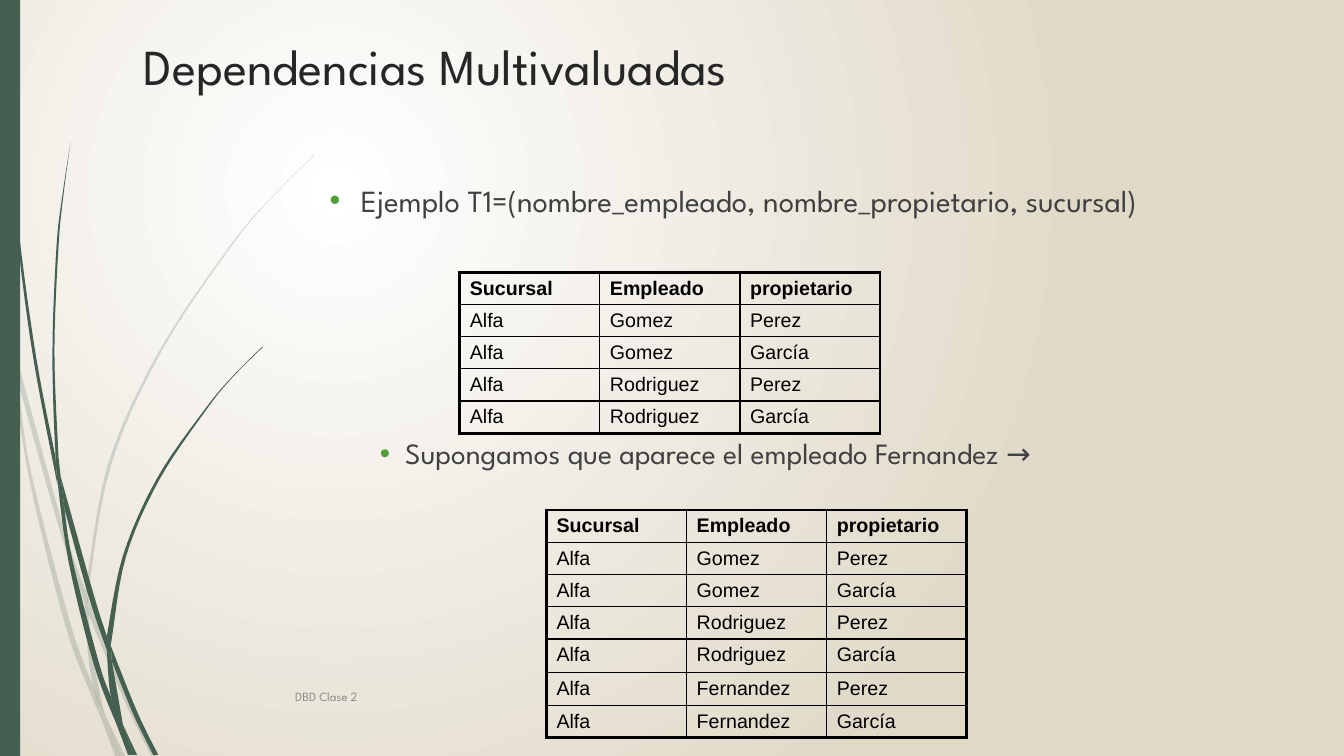
import pptx
import pptx.util
import pptx.oxml
import pptx.oxml.ns
import pptx.dml.color
import pptx.enum.shapes
import pptx.enum.text

Inches, Pt = pptx.util.Inches, pptx.util.Pt
qn = pptx.oxml.ns.qn
NS = pptx.oxml.ns.nsdecls("a")

COLORS = {
    "white": "FFFFFF", "sand": "E0D9C8", "green": "455F51", "bullet": "549E39",
    "title": "262626", "body": "404040", "footer": "8C8C8C", "black": "000000",
}
FONT = "League Spartan"

# Pieces of the grass blades: one edge there, the other edge back
FAINT_PIECES = [
    ([(0, 2.82), (0.09, 3.22), (0.11, 3.5)], [(0.1, 3.44), (0, 2.99)]),
    ([(0.14, 3.45), (0.62, 5.2), (0.85, 5.86)], [(0.84, 5.99), (0.58, 5.22), (0.17, 3.76)]),
    ([(0.88, 5.96), (1.27, 6.92), (1.55, 7.5)], [(1.5, 7.5), (1.23, 6.94), (0.88, 6.1)]),
    ([(1.05, 7.11), (1.24, 7.5)], [(1.19, 7.5)]),
    ([(0.11, 3.5), (0.17, 3.76), (0.31, 4.69), (0.7, 6.19), (0.93, 6.83), (0.99, 7.07)],
     [(1.01, 7.14), (0.92, 6.93), (0.65, 6.21), (0.28, 4.7), (0.11, 3.5)]),
    ([(0.84, 5.99), (0.87, 6.46), (0.93, 6.83), (1.05, 7.11)],
     [(1.03, 7.06), (0.91, 6.46), (0.88, 6.08)]),
    ([(3.12, 1.53), (2.68, 1.97), (2.28, 2.44), (1.58, 3.48), (1.07, 4.61), (0.85, 5.86)],
     [(0.88, 5.96), (0.88, 5.84), (1.1, 4.62), (1.6, 3.49), (2.29, 2.45), (2.68, 1.98),
      (3.12, 1.54)]),
    ([(1.01, 7.14), (1.14, 7.5)], [(1.19, 7.5)]),
    ([(0.84, 5.99), (0.85, 5.86)], [(0.88, 5.96), (0.88, 6.1)]),
    ([(0.93, 6.83), (1.05, 7.11), (1.19, 7.5)], [(1.01, 7.14)]),
]
DARK_PIECES = [
    ([(0.03, 0), (0.07, 1.1), (0.17, 2.33), (0.33, 3.55), (0.57, 4.81)],
     [(0.55, 4.53), (0.36, 3.55), (0.19, 2.32), (0.08, 1.09), (0.04, 0)]),
    ([(0.6, 4.72), (0.93, 5.9), (1.06, 6.31)], [(1.06, 6.45), (0.88, 5.92), (0.64, 5.05)]),
    ([(1.1, 6.41), (1.36, 7.06), (1.57, 7.49)], [(1.52, 7.49), (1.32, 7.08), (1.11, 6.56)]),
    ([(0.57, 4.77), (0.68, 5.57), (0.93, 6.59), (1.17, 7.22)],
     [(1.1, 6.91), (0.98, 6.57), (0.72, 5.56), (0.64, 5.05)]),
    ([(0.7, 1.41), (0.62, 1.93), (0.56, 2.45), (0.52, 3.49), (0.55, 4.49), (0.6, 4.72)],
     [(0.58, 4.53), (0.54, 3.49), (0.58, 2.45), (0.63, 1.93), (0.7, 1.41)]),
    ([(1.22, 7.19), (1.36, 7.49)], [(1.33, 7.49)]),
    ([(0.55, 4.49), (0.57, 4.77), (0.64, 5.05)], [(0.6, 4.72)]),
    ([(2.6, 3.44), (2.31, 3.73), (2.04, 4.05), (1.56, 4.74), (1.22, 5.51), (1.06, 6.31)],
     [(1.1, 6.41), (1.11, 6.33), (1.25, 5.52), (1.58, 4.76), (2.05, 4.06), (2.31, 3.74),
      (2.61, 3.44)]),
    ([(1.17, 7.22), (1.27, 7.49)], [(1.31, 7.49)]),
    ([(1.06, 6.45), (1.1, 6.91), (1.22, 7.19)], [(1.11, 6.56)]),
    ([(1.06, 6.31), (1.06, 6.45)], [(1.11, 6.56), (1.1, 6.41)]),
    ([(1.1, 6.91), (1.17, 7.22), (1.3, 7.49)], [(1.33, 7.49), (1.22, 7.19)]),
]

HEADER = ("Sucursal", "Empleado", "propietario")
OWNERS = ("Perez", "García")


def rgb(name):
    return pptx.dml.color.RGBColor.from_string(COLORS[name])


def set_background(s):
    fill = s.background.fill
    fill.gradient()
    for stop, name in zip(fill.gradient_stops, ("white", "sand")):
        stop.color.rgb = rgb(name)
    lin = next(s.element.iter(qn("a:lin")))
    lin.getparent().replace(lin, pptx.oxml.parse_xml(
        f'<a:path {NS} path="circle">'
        '<a:fillToRect l="50000" t="50000" r="100000" b="100000"/></a:path>'))


def smooth_edge(points, steps=6):
    """Points in EMU of a Catmull-Rom curve through the given points."""
    padded = [points[0], *points, points[-1]]
    curve = [points[0]]
    for a, b, c, d in zip(padded, padded[1:], padded[2:], padded[3:]):
        for i in range(1, steps + 1):
            t = i / steps
            curve.append(tuple(
                0.5 * (2 * q + (r - p) * t + (2 * p - 5 * q + 4 * r - u) * t ** 2
                       + (3 * q - p - 3 * r + u) * t ** 3)
                for p, q, r, u in zip(a, b, c, d)))
    return [(Inches(x), Inches(y)) for x, y in curve]


def paint_green(sp):
    sp.shadow.inherit = False
    sp.fill.solid()
    sp.fill.fore_color.rgb = rgb("green")
    sp.line.fill.background()


def add_grass(s, pieces, opacity):
    for there, back in pieces:
        start, *rest = smooth_edge(there) + smooth_edge(back)
        builder = s.shapes.build_freeform(*start)
        builder.add_line_segments(rest, close=True)
        sp = builder.convert_to_shape()
        paint_green(sp)
        color = next(sp.element.spPr.iter(qn("a:srgbClr")))
        color.append(pptx.oxml.parse_xml(f'<a:alpha {NS} val="{opacity * 1000}"/>'))


def add_text_frame(s, left, top, width, height):
    sp = s.shapes.add_textbox(Inches(left), Inches(top), Inches(width), Inches(height))
    sp.text_frame.word_wrap = True
    return sp.text_frame


def write(p, text, size, color, font=FONT, bold=False):
    p.text = text
    p.font.size, p.font.name, p.font.bold = Pt(size), font, bold
    p.font.color.rgb = rgb(color)


def add_bullet(p, margin, indent, space_before):
    p.space_before = Pt(space_before)
    pPr = p._p.get_or_add_pPr()
    pPr.set("marL", str(Inches(margin)))
    pPr.set("indent", str(Inches(indent)))
    marks = [f'<a:buClr {NS}><a:srgbClr val="{COLORS["bullet"]}"/></a:buClr>',
             f'<a:buFont {NS} typeface="Arial"/>', f'<a:buChar {NS} char="•"/>']
    at = pPr.index(pPr.find(qn("a:spcBef"))) + 1
    for i, mark in enumerate(marks):
        pPr.insert(at + i, pptx.oxml.parse_xml(mark))


def set_borders(cell, widths):
    tcPr = cell._tc.get_or_add_tcPr()
    for i, (side, width) in enumerate(zip("LRTB", widths)):
        tcPr.insert(i, pptx.oxml.parse_xml(
            f'<a:ln{side} {NS} w="{Pt(width)}"><a:solidFill>'
            f'<a:srgbClr val="{COLORS["black"]}"/></a:solidFill></a:ln{side}>'))


def add_branch_table(s, left, top, employees, row_heights):
    """Table of every employee with every owner, in a thick frame."""
    rows = [HEADER] + [("Alfa", e, o) for e in employees for o in OWNERS]
    last_row, last_col = len(rows) - 1, len(HEADER) - 1
    table = s.shapes.add_table(len(rows), len(HEADER), Inches(left), Inches(top),
                               Inches(4.17), Inches(sum(row_heights))).table
    table.first_row = table.horz_banding = False
    for col in table.columns:
        col.width = Inches(1.39)
    for i, (row, height) in enumerate(zip(rows, row_heights)):
        table.rows[i].height = Inches(height)
        for j, text in enumerate(row):
            cell = table.cell(i, j)
            cell.fill.background()
            cell.margin_bottom = Inches(0.03)
            write(cell.text_frame.paragraphs[0], text, 14, "black", "Arial", i == 0)
            outer = (j == 0, j == last_col, i == 0, i == last_row)
            set_borders(cell, [2.25 if edge else 1 for edge in outer])


def main():
    prs = pptx.Presentation()
    prs.slide_width, prs.slide_height = Inches(13.33), Inches(7.5)
    s = prs.slides.add_slide(prs.slide_layouts[6])
    set_background(s)
    add_grass(s, FAINT_PIECES, 20)
    add_grass(s, DARK_PIECES, 100)
    paint_green(s.shapes.add_shape(pptx.enum.shapes.MSO_SHAPE.RECTANGLE,
                                   0, 0, Inches(0.2), Inches(7.5)))

    tf = add_text_frame(s, 1.33, 0.3, 11.33, 1.25)
    write(tf.paragraphs[0], "Dependencias Multivaluadas", 36, "title")

    tf = add_text_frame(s, 2.67, 1.75, 10, 4.95)
    p = tf.paragraphs[0]
    write(p, "Ejemplo T1=(nombre_empleado, nombre_propietario, sucursal)", 22, "body")
    add_bullet(p, 0.81, -0.31, 10)
    p = tf.add_paragraph()
    write(p, "Supongamos que aparece el empleado Fernandez →", 21, "body")
    add_bullet(p, 1.25, -0.25, 155)

    add_branch_table(s, 4.56, 2.7, ["Gomez", "Rodriguez"], [0.32] * 5)
    add_branch_table(s, 5.42, 5.06, ["Gomez", "Rodriguez", "Fernandez"],
                     [0.32] * 4 + [0.33] * 2 + [0.32])

    tf = add_text_frame(s, 2.83, 6.71, 8.33, 0.4)
    tf.vertical_anchor = pptx.enum.text.MSO_ANCHOR.MIDDLE
    write(tf.paragraphs[0], "DBD Clase 2", 9, "footer")
    prs.save("out.pptx")


if __name__ == "__main__":
    main()
